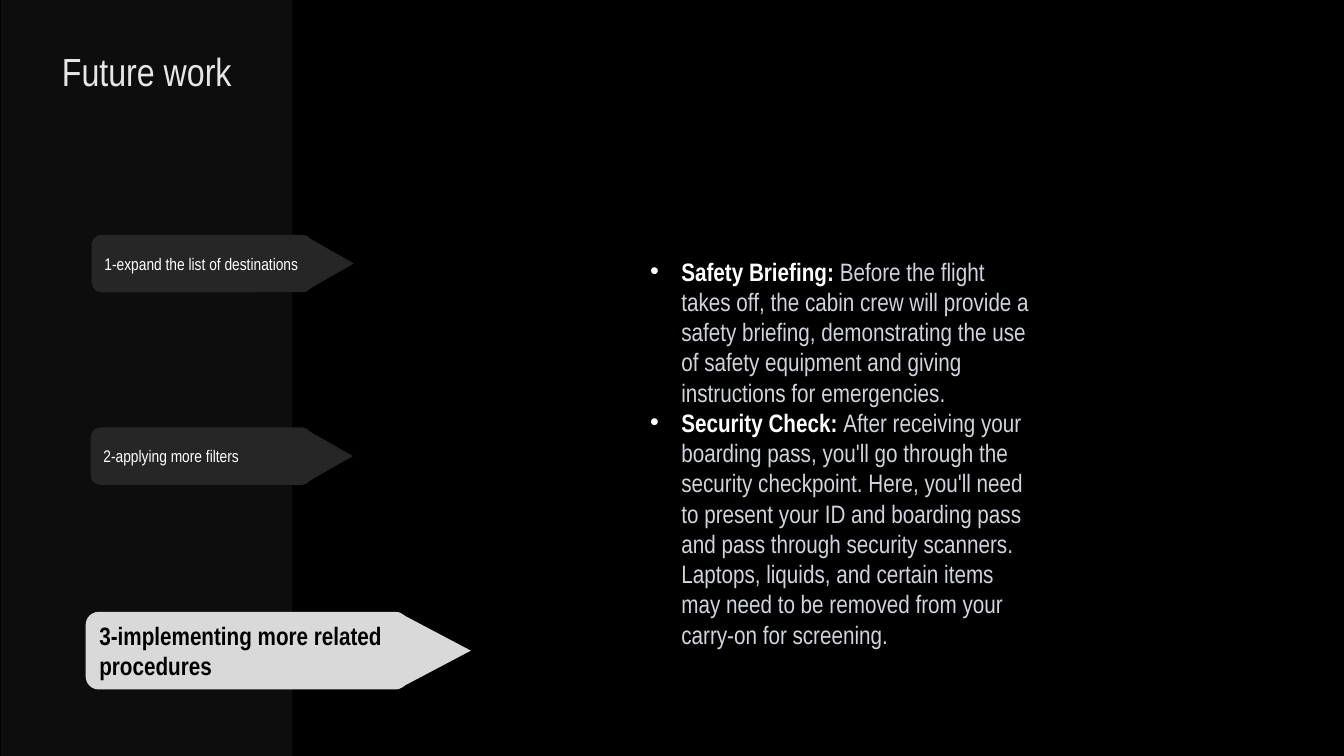
from lxml.etree import SubElement
from pptx import Presentation
from pptx.dml.color import RGBColor
from pptx.enum.shapes import MSO_SHAPE
from pptx.enum.text import MSO_ANCHOR, PP_ALIGN
from pptx.oxml.ns import qn
from pptx.util import Emu, Pt

PX = 9144
THEME = {
    "font": "Arial Narrow",
    "background": "000000", "panel": "0D0D0D",
    "step": "262626", "active": "D9D9D9",
    "title": "E7E6E6", "white": "FFFFFF", "black": "000000", "body": "D1D5DB",
    "title_size": 28, "step_size": 12, "body_size": 18,
}


def add_block(page, kind, left, top, width, height, color):
    block = page.shapes.add_shape(kind, *(Emu(round(n * PX)) for n in (left, top, width, height)))
    block.shadow.inherit = False
    block.fill.solid()
    block.fill.fore_color.rgb = RGBColor.from_string(THEME[color])
    block.line.fill.background()
    return block


def add_span(para, text, size, color, bold=False):
    span = para.add_run()
    span.text = text
    span.font.color.rgb = RGBColor.from_string(THEME[color])
    formats = {"name": THEME["font"], "size": Pt(THEME[size]), "bold": bold}
    for name, value in formats.items():
        setattr(span.font, name, value)


deck = Presentation()
deck.slide_width, deck.slide_height = Emu(1333 * PX), Emu(750 * PX)
page = deck.slides.add_slide(deck.slide_layouts[6])
page.background.fill.solid()
page.background.fill.fore_color.rgb = RGBColor.from_string(THEME["background"])

add_block(page, MSO_SHAPE.RECTANGLE, 1, 0, 289, 750, "panel")

title_box = page.shapes.add_textbox(*(Emu(n * PX) for n in (48, 42, 195, 57)))
title_box.text_frame.word_wrap = True
title_para = title_box.text_frame.paragraphs[0]
title_para.alignment = PP_ALIGN.CENTER
add_span(title_para, "Future work", "title_size", "title")

steps = [
    ("1-expand the list of destinations", (91, 233, 219, 57), 50, 9, "step", "step_size", "white", False),
    ("2-applying more filters", (90, 424, 219, 57), 50, 9, "step", "step_size", "white", False),
    ("3-implementing more related procedures", (85, 607, 320, 77), 73, 11, "active", "body_size", "black", True),
]
for text, (left, top, width, height), depth, overlap, fill, size, color, bold in steps:
    bar = add_block(page, MSO_SHAPE.ROUNDED_RECTANGLE, left, top, width, height, fill)
    frame = bar.text_frame
    for name, value in {"word_wrap": True, "vertical_anchor": MSO_ANCHOR.MIDDLE}.items():
        setattr(frame, name, value)
    frame.paragraphs[0].alignment = PP_ALIGN.LEFT
    add_span(frame.paragraphs[0], text, size, color, bold)
    tip_left = left + width - overlap + (depth - height) / 2
    tip_top = top + (height - depth) / 2
    tip = add_block(page, MSO_SHAPE.ISOSCELES_TRIANGLE, tip_left, tip_top, height, depth, fill)
    tip.rotation = 90

procedures = [
    ("Safety Briefing: ",
     "Before the flight takes off, the cabin crew will provide a safety briefing, "
     "demonstrating the use of safety equipment and giving instructions for emergencies."),
    ("Security Check: ",
     "After receiving your boarding pass, you'll go through the security checkpoint. "
     "Here, you'll need to present your ID and boarding pass and pass through security scanners. "
     "Laptops, liquids, and certain items may need to be removed from your carry-on for screening."),
]
procedure_box = page.shapes.add_textbox(*(Emu(n * PX) for n in (635, 249, 396, 464)))
procedure_frame = procedure_box.text_frame
procedure_frame.word_wrap = True
for index, (heading, detail) in enumerate(procedures):
    para = procedure_frame.add_paragraph() if index else procedure_frame.paragraphs[0]
    add_span(para, heading, "body_size", "white", True)
    add_span(para, detail, "body_size", "body")
    properties = para._p.get_or_add_pPr()
    for name, value in {"marL": 31 * PX, "indent": -31 * PX}.items():
        properties.set(name, str(value))
    SubElement(properties, qn("a:buFont")).set("typeface", "Arial")
    SubElement(properties, qn("a:buChar")).set("char", "•")

deck.save("out.pptx")
